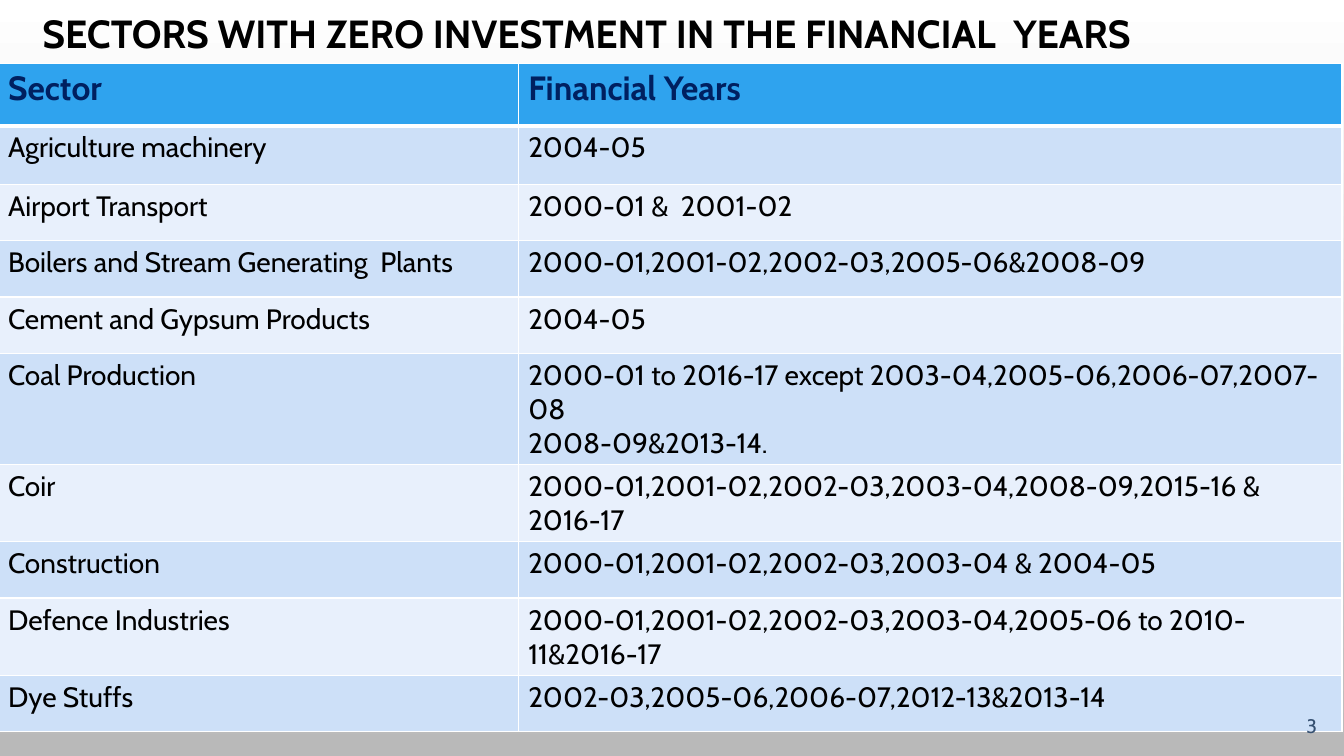
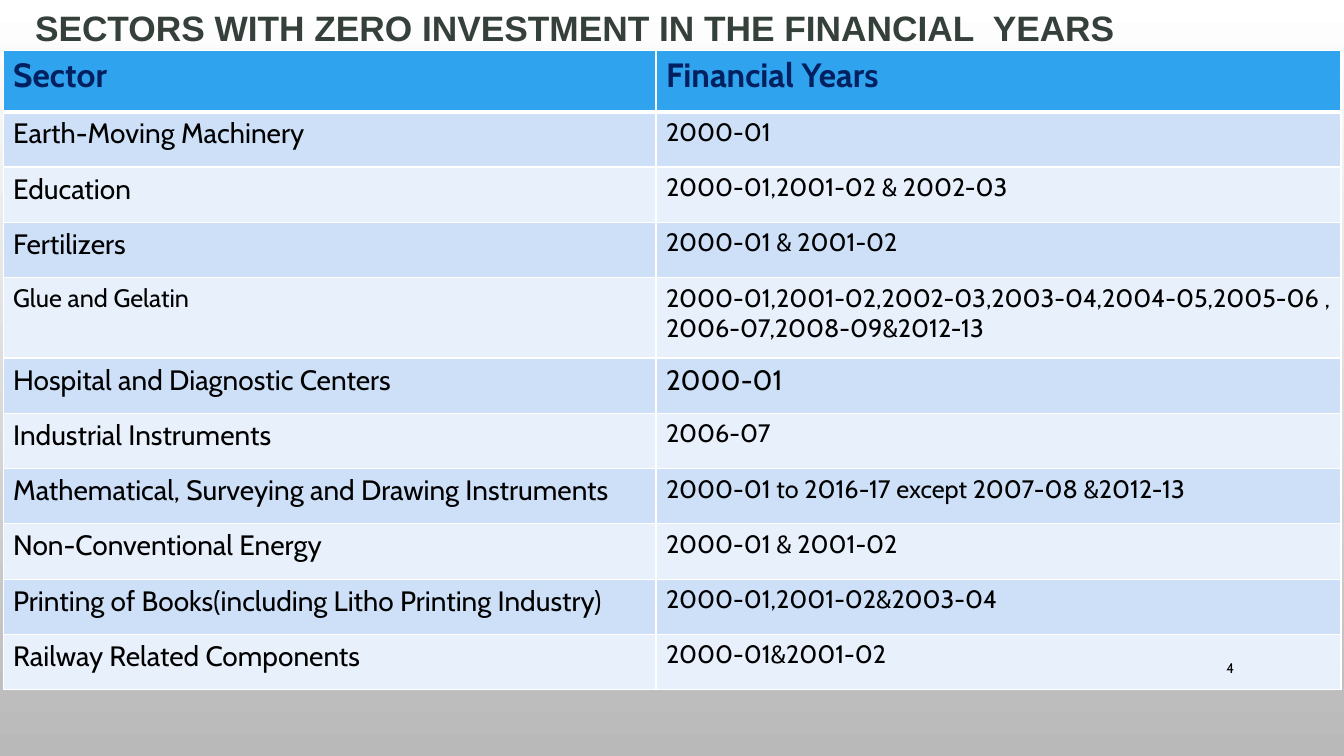
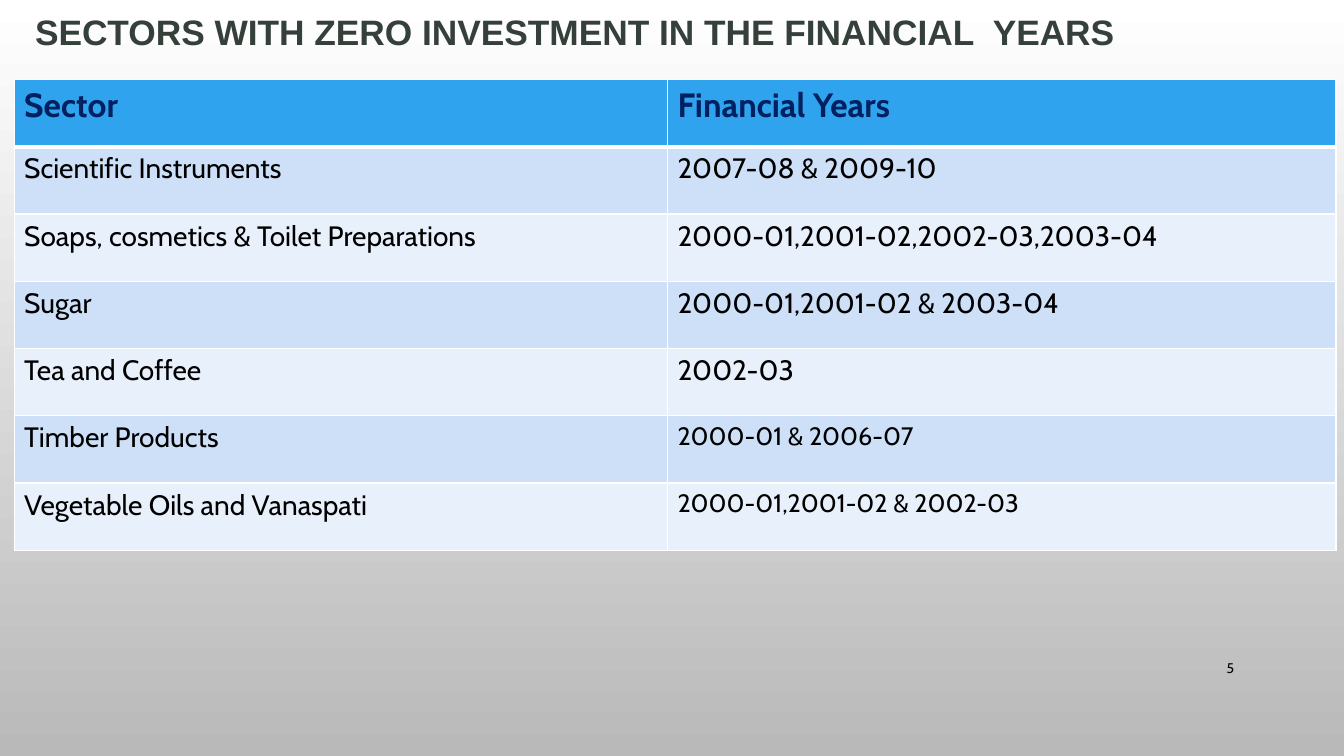
from collections import namedtuple

from lxml.etree import SubElement
from pptx import Presentation
from pptx.dml.color import RGBColor
from pptx.enum.text import MSO_ANCHOR as Anchor, PP_ALIGN as Align
from pptx.oxml.ns import qn
from pptx.util import Inches, Pt

SLIDE_W, SLIDE_H = Inches(13.33), Inches(7.5)
BODY_FONT = "Cabin"
BLACK, NAVY, WHITE, GREY = "000000", "002060", "FFFFFF", "B9B9B9"
HEADER_BLUE, BANDS = "2FA3EE", ("CDE0F8", "E8F0FC")
TITLE = "SECTORS WITH ZERO INVESTMENT IN THE FINANCIAL  YEARS"
HEADINGS = ("Sector", "Financial Years")

# Boxes are percentages of the slide: left, top, width, height.
Style = namedtuple("Style", "font size color bold", defaults=(False,))
Row = namedtuple("Row", "weight sector years sector_size years_size",
                 defaults=(20, 20))
Page = namedtuple("Page", "number title_box title_style number_box "
                          "number_style table_box columns header_weight rows")

ARIAL_TITLE = Style("Arial", 25.2, "35403A", True)
HEADER_STYLE = Style(BODY_FONT, 24, NAVY, True)
SMALL_NUMBER = Style(BODY_FONT, 10, BLACK)
SMALL_NUMBER_BOX = (86.27, 85.73, 6.3, 5.33)

PAGES = [
    Page(3, (0.75, 1.07, 85.75, 7.33), Style(BODY_FONT, 28, BLACK, True),
         (94.45, 93.33, 4.28, 5.33), Style(BODY_FONT, 14, "355071"),
         (-0.15, 8.4, 100, 83.87), (5.16, 8.17), 0.62, [
        Row(0.58, "Agriculture machinery", "2004-05 "),
        Row(0.56, "Airport Transport", "2000-01 &  2001-02"),
        Row(0.56, "Boilers and Stream Generating  Plants",
            "2000-01,2001-02,2002-03,2005-06&2008-09"),
        Row(0.56, "Cement and Gypsum Products", "2004-05"),
        Row(0.9, "Coal Production",
            "2000-01 to 2016-17 except 2003-04,2005-06,2006-07,2007-08\n"
            "2008-09&2013-14."),
        Row(0.66, "Coir",
            "2000-01,2001-02,2002-03,2003-04,2008-09,2015-16 & 2016-17"),
        Row(0.56, "Construction",
            "2000-01,2001-02,2002-03,2003-04 & 2004-05"),
        Row(0.74, "Defence Industries",
            "2000-01,2001-02,2002-03,2003-04,2005-06 to 2010-11&2016-17"),
        Row(0.56, "Dye Stuffs", "2002-03,2005-06,2006-07,2012-13&2013-14"),
    ]),
    Page(4, (-0.08, 0.67, 85.75, 6.67), ARIAL_TITLE,
         SMALL_NUMBER_BOX, SMALL_NUMBER,
         (0.23, 6.67, 99.55, 84.6), (6.47, 6.79), 0.61, [
        Row(0.55, "Earth-Moving Machinery", "2000-01", 20, 18),
        Row(0.55, "Education", "2000-01,2001-02 & 2002-03", 20, 18),
        Row(0.55, "Fertilizers", "2000-01 & 2001-02", 20, 18),
        Row(0.8, "Glue and Gelatin ",
            "2000-01,2001-02,2002-03,2003-04,2004-05,2005-06 ,\n"
            "2006-07,2008-09&2012-13", 18, 18),
        Row(0.55, "Hospital and Diagnostic Centers", "2000-01"),
        Row(0.55, "Industrial Instruments", "2006-07", 20, 18),
        Row(0.55, "Mathematical, Surveying and Drawing Instruments",
            "2000-01 to 2016-17 except 2007-08 &2012-13", 20, 18),
        Row(0.55, "Non-Conventional Energy", "2000-01 & 2001-02", 20, 18),
        Row(0.55, "Printing of Books(including Litho Printing Industry)",
            "2000-01,2001-02&2003-04", 20, 18),
        Row(0.55, "Railway Related Components", "2000-01&2001-02", 20, 18),
    ]),
    Page(5, (-0.08, 0, 85.75, 9.07), ARIAL_TITLE,
         SMALL_NUMBER_BOX, SMALL_NUMBER,
         (1.05, 10.53, 98.35, 62.27), (6.48, 6.63), 1, [
        Row(1, "Scientific Instruments", "2007-08 & 2009-10"),
        Row(1, "Soaps, cosmetics & Toilet Preparations",
            "2000-01,2001-02,2002-03,2003-04"),
        Row(1, "Sugar", "2000-01,2001-02 & 2003-04"),
        Row(1, "Tea and Coffee", "2002-03"),
        Row(1, "Timber Products", "2000-01 & 2006-07", 20, 18),
        Row(1, "Vegetable Oils and Vanaspati",
            "2000-01,2001-02 & 2002-03", 20, 18),
    ]),
]


def rgb(hex_color):
    return RGBColor.from_string(hex_color)


def on_slide(box):
    """Turn percentages of the slide into lengths."""
    return [int(share * side / 100)
            for share, side in zip(box, (SLIDE_W, SLIDE_H) * 2)]


def share_out(length, tracks, weights, attribute):
    """Divide a length among table columns or rows by weight."""
    for track, weight in zip(tracks, weights):
        setattr(track, attribute, int(length * weight / sum(weights)))


def write(frame, text, style, align=Align.LEFT, spacing=None):
    for i, line in enumerate(text.split("\n")):
        paragraph = frame.add_paragraph() if i else frame.paragraphs[0]
        paragraph.alignment = align
        paragraph.line_spacing = spacing
        run = paragraph.add_run()
        run.text = line
        run.font.name, run.font.size = style.font, Pt(style.size)
        run.font.bold = style.bold
        run.font.color.rgb = rgb(style.color)


def add_label(slide, box, text, style, align, spacing=None):
    frame = slide.shapes.add_textbox(*on_slide(box)).text_frame
    frame.word_wrap = True
    frame.vertical_anchor = Anchor.MIDDLE
    write(frame, text, style, align, spacing)


def add_borders(cell, top=1, bottom=1):
    properties = cell._tc.get_or_add_tcPr()
    for side, points in (("L", 1), ("R", 1), ("T", top), ("B", bottom)):
        line = SubElement(properties, qn("a:ln" + side), w=str(Pt(points)))
        fill = SubElement(line, qn("a:solidFill"))
        SubElement(fill, qn("a:srgbClr"), val=WHITE)


def fill_cell(cell, text, style, color, **borders):
    add_borders(cell, **borders)
    cell.fill.solid()
    cell.fill.fore_color.rgb = rgb(color)
    write(cell.text_frame, text, style)


def add_sector_table(slide, page):
    left, top, width, height = on_slide(page.table_box)
    table = slide.shapes.add_table(len(page.rows) + 1, len(HEADINGS),
                                   left, top, width, height).table
    table.horz_banding = False
    share_out(width, table.columns, page.columns, "width")
    weights = [page.header_weight] + [row.weight for row in page.rows]
    share_out(height, table.rows, weights, "height")

    for col, heading in enumerate(HEADINGS):
        fill_cell(table.cell(0, col), heading, HEADER_STYLE, HEADER_BLUE,
                  bottom=3)
    for i, row in enumerate(page.rows):
        entries = ((row.sector, row.sector_size), (row.years, row.years_size))
        for col, (text, size) in enumerate(entries):
            fill_cell(table.cell(i + 1, col), text,
                      Style(BODY_FONT, size, BLACK), BANDS[i % 2],
                      top=1 if i else 3)


def set_background(master):
    fill = master.background.fill
    fill.gradient()
    fill.gradient_angle = 270
    for stop, color in zip(fill.gradient_stops, (WHITE, GREY)):
        stop.color.rgb = rgb(color)


def add_page(prs, page):
    slide = prs.slides.add_slide(prs.slide_layouts[6])
    add_label(slide, page.title_box, TITLE, page.title_style,
              Align.CENTER, 0.9)
    add_sector_table(slide, page)
    add_label(slide, page.number_box, str(page.number), page.number_style,
              Align.RIGHT)


def main():
    prs = Presentation()
    prs.slide_width, prs.slide_height = SLIDE_W, SLIDE_H
    set_background(prs.slide_master)
    for page in PAGES:
        add_page(prs, page)
    prs.save("out.pptx")


if __name__ == "__main__":
    main()
